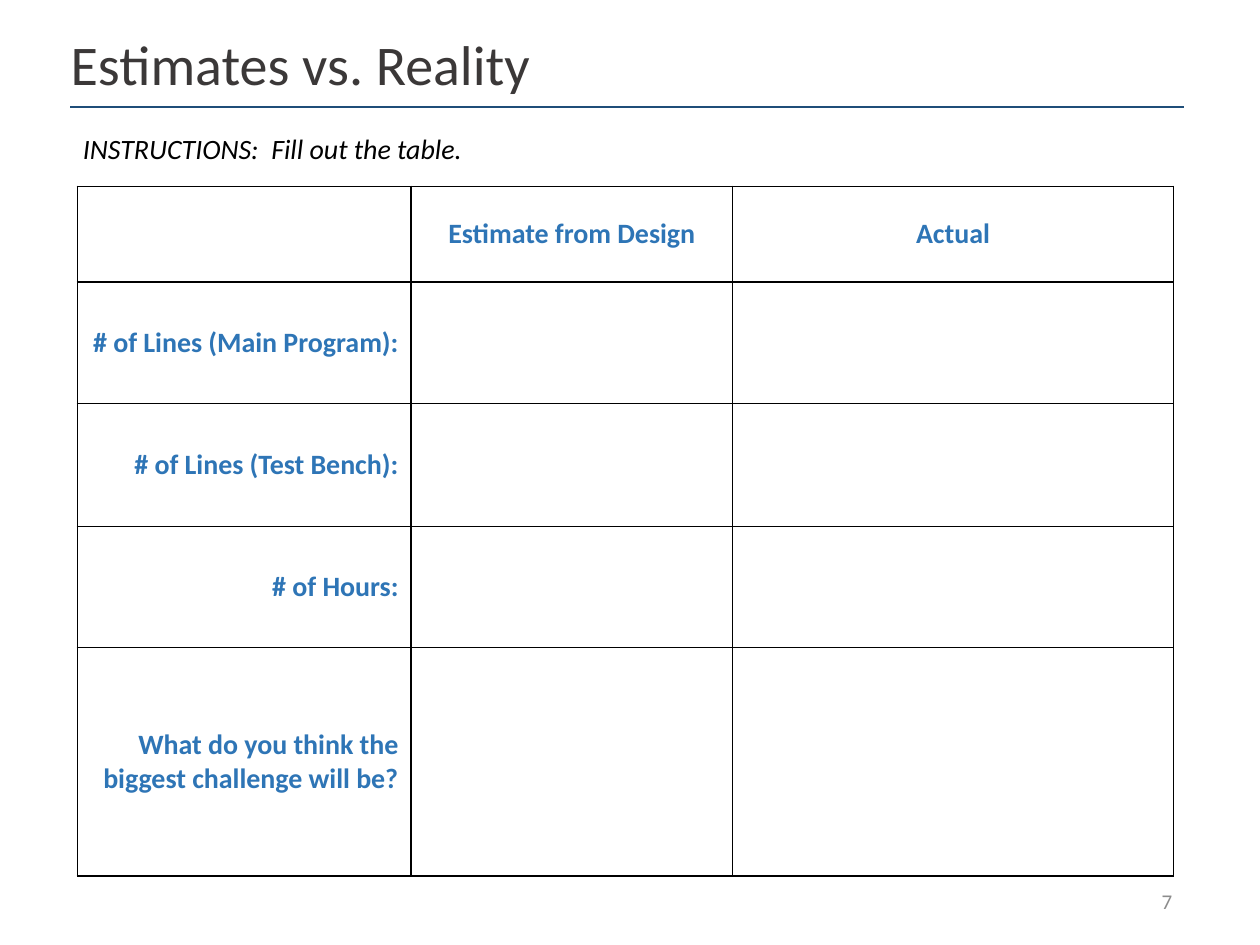
from pptx import Presentation
from pptx.dml.color import RGBColor
from pptx.enum.shapes import MSO_CONNECTOR as Link
from pptx.enum.text import MSO_ANCHOR as Anchor, PP_ALIGN as Align
from pptx.oxml import parse_xml
from pptx.oxml.ns import nsdecls
from pptx.util import Pt

INK, BLUE, NAVY = "000000", "2E75B6", "1F4E79"
DARK, GRAY = "3B3838", "8C8C8C"


def rgb(code):
    """Turn a hex string into a colour."""
    return RGBColor.from_string(code)


class Page:
    """Holds the style and the current slide."""

    face = "Calibri"

    def __init__(self, deck):
        """Add a blank slide to the deck."""
        self.shapes = deck.slides.add_slide(deck.slide_layouts[6]).shapes

    def style(self, para, size, color, align=Align.LEFT, bold=False, italic=False):
        """Set the font and alignment of a paragraph."""
        font = para.font
        font.name, font.size = self.face, Pt(size)
        font.bold, font.italic = bold, italic
        font.color.rgb = rgb(color)
        para.alignment = align

    def text(self, words, box, size, color, anchor=Anchor.MIDDLE, **look):
        """Add a text box and return its paragraph."""
        frame = self.shapes.add_textbox(*map(Pt, box)).text_frame
        frame.word_wrap = True
        frame.vertical_anchor = anchor
        para = frame.paragraphs[0]
        para.text = words
        self.style(para, size, color, **look)
        return para

    def rule(self, left, right, top, color):
        """Draw a level line."""
        line = self.shapes.add_connector(
            Link.STRAIGHT, Pt(left), Pt(top), Pt(right), Pt(top))
        line.line.color.rgb = rgb(color)
        line.line.width = Pt(1)
        line._element.spPr.append(parse_xml(f"<a:effectLst {nsdecls('a')}/>"))

    def edge(self, cell, color):
        """Put a border of one point on all sides of a cell."""
        props = cell._tc.get_or_add_tcPr()
        for spot, side in enumerate("LRTB"):
            props.insert(spot, parse_xml(
                f'<a:ln{side} {nsdecls("a")} w="{Pt(1)}"><a:solidFill>'
                f'<a:srgbClr val="{color}"/></a:solidFill></a:ln{side}>'))

    def table(self, left, top, cols, rows, heads, labels):
        """Add a table with column heads and row labels."""
        grid = self.shapes.add_table(
            len(rows), len(cols), Pt(left), Pt(top),
            Pt(sum(cols)), Pt(sum(rows))).table
        grid.first_row = grid.horz_banding = False
        for col, width in zip(grid.columns, cols):
            col.width = Pt(width)
        for row, height in zip(grid.rows, rows):
            row.height = Pt(height)
        for cell in grid.iter_cells():
            cell.fill.background()
            cell.vertical_anchor = Anchor.MIDDLE
            self.edge(cell, INK)
        spots = [(0, c, words, Align.CENTER) for c, words in enumerate(heads, 1)]
        spots += [(r, 0, words, Align.RIGHT) for r, words in enumerate(labels, 1)]
        for r, c, words, align in spots:
            para = grid.cell(r, c).text_frame.paragraphs[0]
            para.text = words
            self.style(para, 16, BLUE, align, bold=True)


deck = Presentation()
deck.slide_width, deck.slide_height = Pt(720), Pt(540)
page = Page(deck)

page.rule(40.3, 676.8, 61.2, NAVY)
title = page.text("Estimates vs. Reality", (33.3, 16.5, 644.2, 44), 32, DARK)
title.line_spacing = 0.9
page.text("7", (515, 500.5, 162, 28.8), 12, GRAY, align=Align.RIGHT)
task = page.text("INSTRUCTIONS:  Fill out the table.", (40.3, 67.7, 637.2, 44),
                 16, INK, Anchor.TOP, italic=True)
task.line_spacing, task.space_before = 1.2, Pt(10)

page.table(
    44.2, 106.5, cols=(190.8, 183.6, 252), rows=(54.7, 69.3, 70.3, 69.3, 130.5),
    heads=("Estimate from Design", "Actual"),
    labels=("# of Lines (Main Program):", "# of Lines (Test Bench):",
            "# of Hours:", "What do you think the biggest challenge will be?"))

deck.save("out.pptx")
